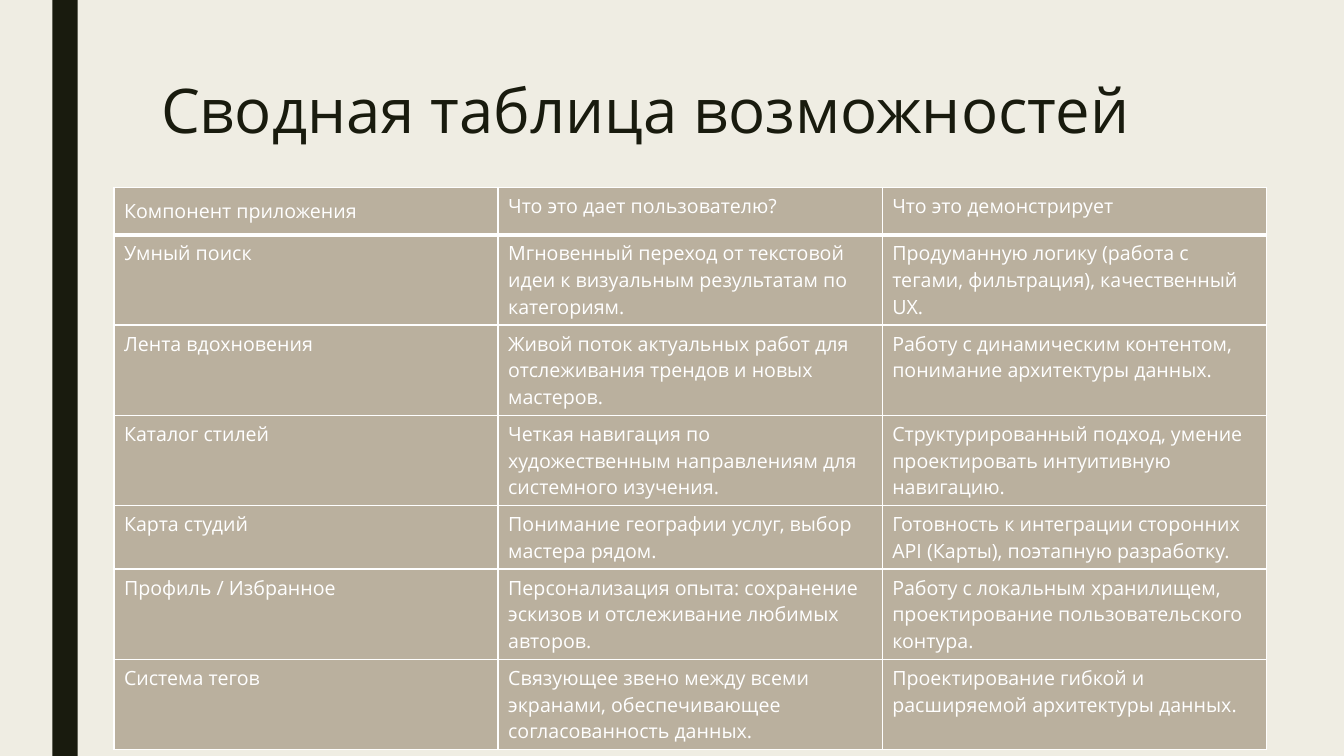
from dataclasses import dataclass

from pptx import Presentation
from pptx.dml.color import RGBColor
from pptx.enum.shapes import MSO_SHAPE
from pptx.enum.text import MSO_ANCHOR
from pptx.oxml.ns import qn
from pptx.util import Inches, Pt
from lxml import etree

RECT = MSO_SHAPE.RECTANGLE
TOP, MIDDLE = MSO_ANCHOR.TOP, MSO_ANCHOR.MIDDLE


@dataclass(frozen=True)
class Theme:
    paper: str = "EFEDE3"
    ink: str = "191B0E"
    sand: str = "BAB09E"
    white: str = "FFFFFF"
    font: str = "Open Sans"
    title: int = 44
    body: int = 14


theme = Theme()


def write(frame, text, size=theme.body, color=theme.white, spacing=None):
    frame.word_wrap = True
    para = frame.paragraphs[0]
    para.line_spacing = spacing
    run = para.add_run()
    run.text = text
    run.font.name = theme.font
    run.font.size = Pt(size)
    run.font.bold = False
    run.font.color.rgb = RGBColor.from_string(color)


def edge(cell, side, width):
    """Draw one cell border; side is L, R, T or B, width is in points."""
    props = cell._tc.get_or_add_tcPr()
    line = etree.SubElement(props, qn("a:ln" + side), w=str(Pt(width)))
    fill = etree.SubElement(line, qn("a:solidFill"))
    etree.SubElement(fill, qn("a:srgbClr"), val=theme.white)


deck = Presentation()
deck.slide_width, deck.slide_height = Inches(13.33), Inches(7.5)
slide = deck.slides.add_slide(deck.slide_layouts[6])
slide.background.fill.solid()
slide.background.fill.fore_color.rgb = RGBColor.from_string(theme.paper)

stripe = slide.shapes.add_shape(RECT, Inches(0.52), 0, Inches(0.25), Inches(7.5))
stripe.shadow.inherit = False
stripe.fill.solid()
stripe.fill.fore_color.rgb = RGBColor.from_string(theme.ink)
stripe.line.fill.background()

rows = [
    ("Компонент приложения",
     "Что это дает пользователю?",
     "Что это демонстрирует"),
    ("Умный поиск",
     "Мгновенный переход от текстовой идеи к визуальным результатам по категориям.",
     "Продуманную логику (работа с тегами, фильтрация), качественный UX."),
    ("Лента вдохновения",
     "Живой поток актуальных работ для отслеживания трендов и новых мастеров.",
     "Работу с динамическим контентом, понимание архитектуры данных."),
    ("Каталог стилей",
     "Четкая навигация по художественным направлениям для системного изучения.",
     "Структурированный подход, умение проектировать интуитивную навигацию."),
    ("Карта студий",
     "Понимание географии услуг, выбор мастера рядом.",
     "Готовность к интеграции сторонних API (Карты), поэтапную разработку."),
    ("Профиль / Избранное",
     "Персонализация опыта: сохранение эскизов и отслеживание любимых авторов.",
     "Работу с локальным хранилищем, проектирование пользовательского контура."),
    ("Система тегов",
     "Связующее звено между всеми экранами, обеспечивающее согласованность данных.",
     "Проектирование гибкой и расширяемой архитектуры данных."),
]
heights = [0.47, 0.84, 0.84, 0.84, 0.59, 0.84, 0.84]

table = slide.shapes.add_table(
    len(rows), 3, Inches(1.13), Inches(1.86), Inches(11.42), Inches(sum(heights))
).table
table.first_row = table.horz_banding = False
for col in table.columns:
    col.width = Inches(3.81)

for r, texts in enumerate(rows):
    table.rows[r].height = Inches(heights[r])
    for c, text in enumerate(texts):
        cell = table.cell(r, c)
        corner = r == c == 0
        write(cell.text_frame, text, spacing=Pt(18.8) if corner else None)
        if corner:
            cell.vertical_anchor = MIDDLE
            cell.margin_left = cell.margin_top = cell.margin_bottom = Inches(0.1)
            cell.margin_right = Inches(0.17)
        for side in "LRTB":
            heavy = (r, side) in ((0, "B"), (1, "T"))
            edge(cell, side, 3 if heavy else 1)
        cell.fill.solid()
        cell.fill.fore_color.rgb = RGBColor.from_string(theme.sand)

title = slide.shapes.add_textbox(Inches(1.5), Inches(0.75), Inches(10.5), Inches(1.62))
title.text_frame.vertical_anchor = TOP
write(title.text_frame, "Сводная таблица возможностей",
      size=theme.title, color=theme.ink, spacing=0.89)

deck.save("out.pptx")
